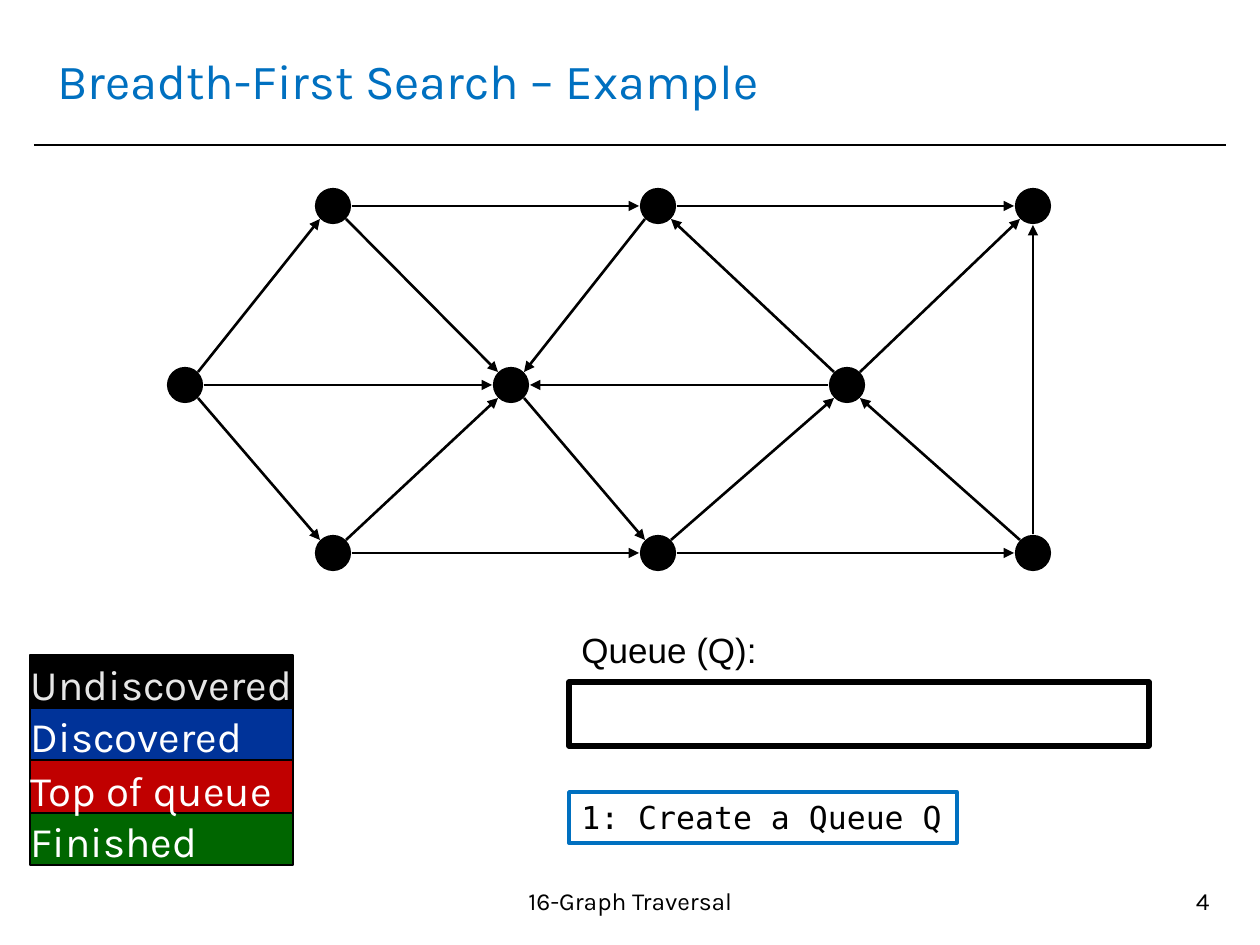
"""Build the breadth-first search example slide: graph, colour legend, queue and current step."""
from pptx import Presentation
from pptx.dml.color import RGBColor
from pptx.enum.shapes import MSO_CONNECTOR, MSO_SHAPE
from pptx.enum.text import MSO_ANCHOR, PP_ALIGN
from pptx.oxml.ns import qn
from pptx.util import Emu, Pt
from lxml import etree

BLACK = RGBColor(0x00, 0x00, 0x00)
WHITE = RGBColor(0xFF, 0xFF, 0xFF)
GREY = RGBColor(0xE6, 0xE6, 0xE6)
TITLE_BLUE = RGBColor(0x00, 0x70, 0xC0)
BLUE = RGBColor(0x00, 0x33, 0x99)
RED = RGBColor(0xC0, 0x00, 0x00)
GREEN = RGBColor(0x00, 0x66, 0x00)

PX = 914400 / 126
RADIUS, STRAIGHT_GAP, DIAGONAL_GAP = 17, 19, 13


def px(*lengths):
    return [Emu(round(n * PX)) for n in lengths]


def write(s, text, size, color, font="Karla", align=PP_ALIGN.LEFT, anchor=MSO_ANCHOR.TOP):
    tf = s.text_frame
    tf.word_wrap = True
    tf.vertical_anchor = anchor
    p = tf.paragraphs[0]
    p.text = text
    p.alignment = align
    p.font.name = font
    p.font.size = Pt(size)
    p.font.color.rgb = color
    return tf


prs = Presentation()
prs.slide_width, prs.slide_height = px(1260, 945)
slide = prs.slides.add_slide(prs.slide_layouts[6])
shapes = slide.shapes

labels = [
    ("Breadth-First Search – Example", (45, 26, 1170, 107), 28, TITLE_BLUE, "Karla", PP_ALIGN.LEFT, MSO_ANCHOR.MIDDLE),
    ("16-Graph Traversal", (422, 880, 417, 65), 14, BLACK, "Karla", PP_ALIGN.CENTER, MSO_ANCHOR.TOP),
    ("4", (928, 880, 294, 65), 14, BLACK, "Karla", PP_ALIGN.RIGHT, MSO_ANCHOR.TOP),
    ("Queue (Q):", (569, 622, 209, 55), 20, BLACK, "Arial", PP_ALIGN.LEFT, MSO_ANCHOR.TOP),
]
for text, box, *style in labels:
    write(shapes.add_textbox(*px(*box)), text, *style)

nodes = {
    "s": (185, 385), "2": (333, 206), "3": (333, 553),
    "4": (658, 206), "5": (511, 385), "6": (658, 553),
    "7": (847, 385), "8": (1033, 206), "9": (1033, 553),
}
for x, y in nodes.values():
    s = shapes.add_shape(MSO_SHAPE.OVAL, *px(x - RADIUS, y - RADIUS, 2 * RADIUS, 2 * RADIUS))
    s.shadow.inherit = False
    s.fill.solid()
    s.fill.fore_color.rgb = BLACK
    s.line.color.rgb = BLACK
    s.line.width = Pt(1.25)

lines = [((34, 145, 1226, 145), 1, False)]
for start, end in "s2 s5 s3 24 25 35 36 45 48 56 67 69 74 75 78 97 98".split():
    (x1, y1), (x2, y2) = nodes[start], nodes[end]
    gap = DIAGONAL_GAP if x1 != x2 and y1 != y2 else STRAIGHT_GAP
    dx = gap * ((x2 > x1) - (x2 < x1))
    dy = gap * ((y2 > y1) - (y2 < y1))
    lines.append(((x1 + dx, y1 + dy, x2 - dx, y2 - dy), 1.5, True))

for ends, width, arrow in lines:
    s = shapes.add_connector(MSO_CONNECTOR.STRAIGHT, *px(*ends))
    s.line.color.rgb = BLACK
    s.line.width = Pt(width)
    if arrow:
        etree.SubElement(s.line._get_or_add_ln(), qn("a:tailEnd"), type="triangle")
    etree.SubElement(s._element.spPr, qn("a:effectLst"))

queue = shapes.add_shape(MSO_SHAPE.RECTANGLE, *px(569, 682, 580, 64))
queue.shadow.inherit = False
queue.fill.background()
queue.line.color.rgb = BLACK
queue.line.width = Pt(3)

step = shapes.add_shape(MSO_SHAPE.RECTANGLE, *px(569, 792, 388, 51))
step.shadow.inherit = False
step.fill.solid()
step.fill.fore_color.rgb = WHITE
step.line.color.rgb = TITLE_BLUE
step.line.width = Pt(2)
write(step, "1: Create a Queue Q", 18, BLACK, "DejaVu Sans Mono")

legend = [
    ("Finished", GREEN, WHITE),
    ("Top of queue", RED, WHITE),
    ("Discovered", BLUE, WHITE),
    ("Undiscovered", BLACK, GREY),
]
for i, (state, fill, color) in enumerate(legend):
    s = shapes.add_shape(MSO_SHAPE.RECTANGLE, *px(30, 812 - 105 * i // 2, 263, 53))
    s.shadow.inherit = False
    s.fill.solid()
    s.fill.fore_color.rgb = fill
    s.line.color.rgb = BLACK
    s.line.width = Pt(1.25)
    tf = write(s, state, 24, color)
    tf.margin_left, tf.margin_top, tf.margin_right, tf.margin_bottom = px(1, 4, 0, 0)

prs.save("out.pptx")
